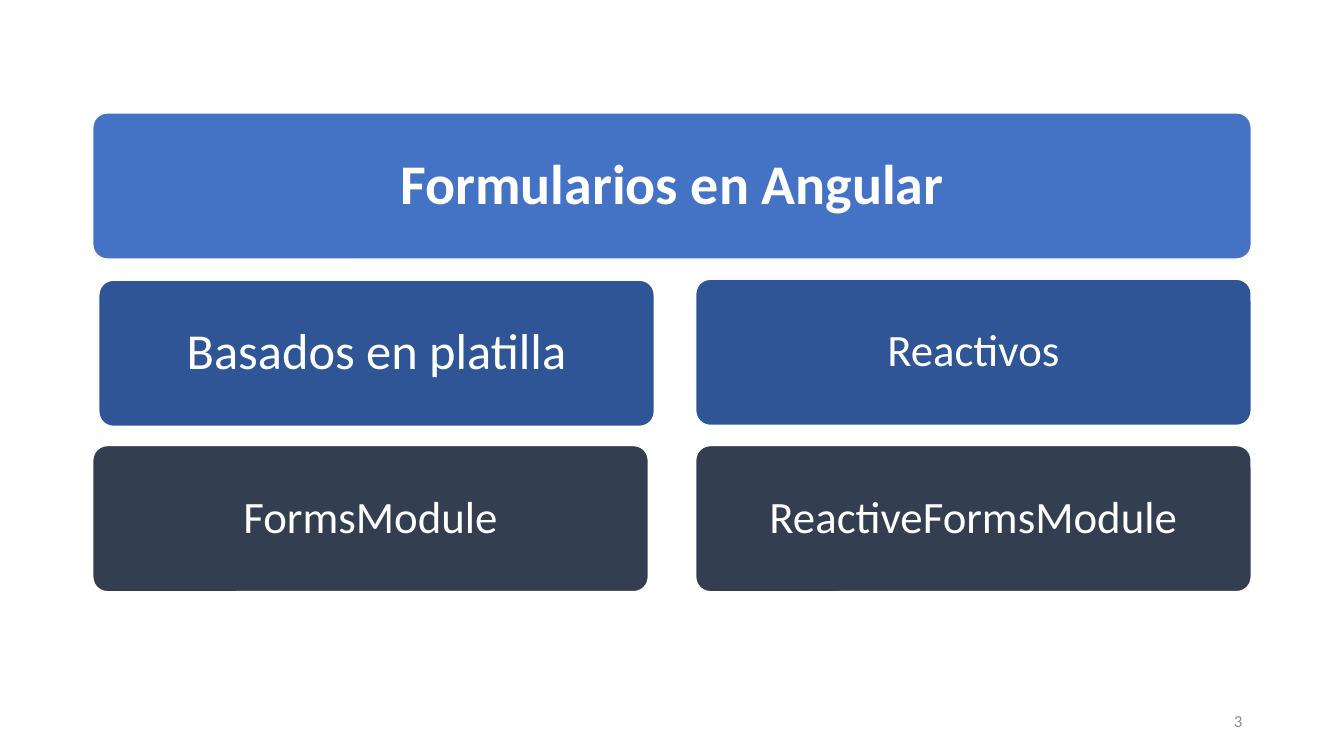
from dataclasses import dataclass

from pptx import Presentation
from pptx.dml.color import RGBColor
from pptx.enum.shapes import MSO_SHAPE
from pptx.enum.text import MSO_ANCHOR, MSO_AUTO_SIZE, PP_ALIGN
from pptx.util import Inches, Pt

ROUND = MSO_SHAPE.ROUNDED_RECTANGLE
MIDDLE = MSO_ANCHOR.MIDDLE
FIXED = MSO_AUTO_SIZE.NONE
CENTER, RIGHT = PP_ALIGN.CENTER, PP_ALIGN.RIGHT

FONT = "Calibri"
WHITE, BLUE, NAVY, SLATE, GRAY = "FFFFFF", "4472C4", "2F5597", "333F50", "8C8C8C"

# Grid of two columns and three rows, in inches
LEFT, TOP = 0.92, 1.12
COL, ROW = 5.51, 1.45
GAP_X, GAP_Y = 0.47, 0.2
EDGE = 0.04


@dataclass(frozen=True)
class Card:
    text: str
    col: int
    row: int
    fill: str
    size: int = 32
    inset: float = 0.13
    span: int = 1
    dx: float = 0
    dy: float = 0

    def box(self) -> tuple[float, float, float, float]:
        return (
            LEFT + self.col * (COL + GAP_X) + self.dx,
            TOP + self.row * (ROW + GAP_Y) + self.dy,
            self.span * COL + (self.span - 1) * GAP_X,
            ROW,
        )


HEAD = Card("Formularios en Angular", 0, 0, BLUE, size=40, inset=0.17, span=2)
CARDS = [
    Card("Basados en platilla", 0, 1, NAVY, size=36, inset=0.15, dx=0.06, dy=0.01),
    Card("FormsModule", 0, 2, SLATE),
    Card("Reactivos", 1, 1, NAVY),
    Card("ReactiveFormsModule", 1, 2, SLATE),
]


def color(code: str) -> RGBColor:
    return RGBColor.from_string(code)


def write(shape, text: str, *, size: int, ink: str = WHITE, bold: bool = False,
          align=CENTER, inset: float = 0.1, lead: float = 0.9) -> None:
    frame = shape.text_frame
    frame.text = text
    frame.word_wrap = True
    frame.auto_size = FIXED
    frame.vertical_anchor = MIDDLE
    frame.margin_left = frame.margin_right = Inches(inset)
    frame.margin_top = frame.margin_bottom = Inches(inset)
    para = frame.paragraphs[0]
    para.alignment = align
    para.line_spacing = lead
    font = para.runs[0].font
    font.name, font.size, font.bold = FONT, Pt(size), bold
    font.color.rgb = color(ink)


def panel(slide, card: Card):
    """Draw the rounded block of a card, without its text."""
    shape = slide.shapes.add_shape(ROUND, *map(Inches, card.box()))
    shape.adjustments[0] = 0.1
    shape.shadow.inherit = False
    shape.fill.solid()
    shape.fill.fore_color.rgb = color(card.fill)
    shape.line.color.rgb = color(WHITE)
    shape.line.width = Pt(1)
    return shape


def header(slide, card: Card) -> None:
    """Lay the title placeholder over its block."""
    title = slide.shapes.title
    title.element.addprevious(panel(slide, card).element)
    x, y, w, h = card.box()
    title.left, title.top = Inches(x + EDGE), Inches(y + EDGE)
    title.width, title.height = Inches(w - 2 * EDGE), Inches(h - 2 * EDGE)
    write(title, card.text, size=card.size, bold=True, inset=card.inset)


def main() -> None:
    deck = Presentation()
    deck.slide_width, deck.slide_height = Inches(13.33), Inches(7.5)
    slide = deck.slides.add_slide(deck.slide_layouts.get_by_name("Title Only"))
    header(slide, HEAD)
    for card in CARDS:
        write(panel(slide, card), card.text, size=card.size, inset=card.inset + EDGE)
    number = slide.shapes.add_textbox(*map(Inches, (9.42, 6.95, 3, 0.4)))
    write(number, "3", size=12, ink=GRAY, align=RIGHT, lead=1.0)
    deck.save("out.pptx")


if __name__ == "__main__":
    main()
